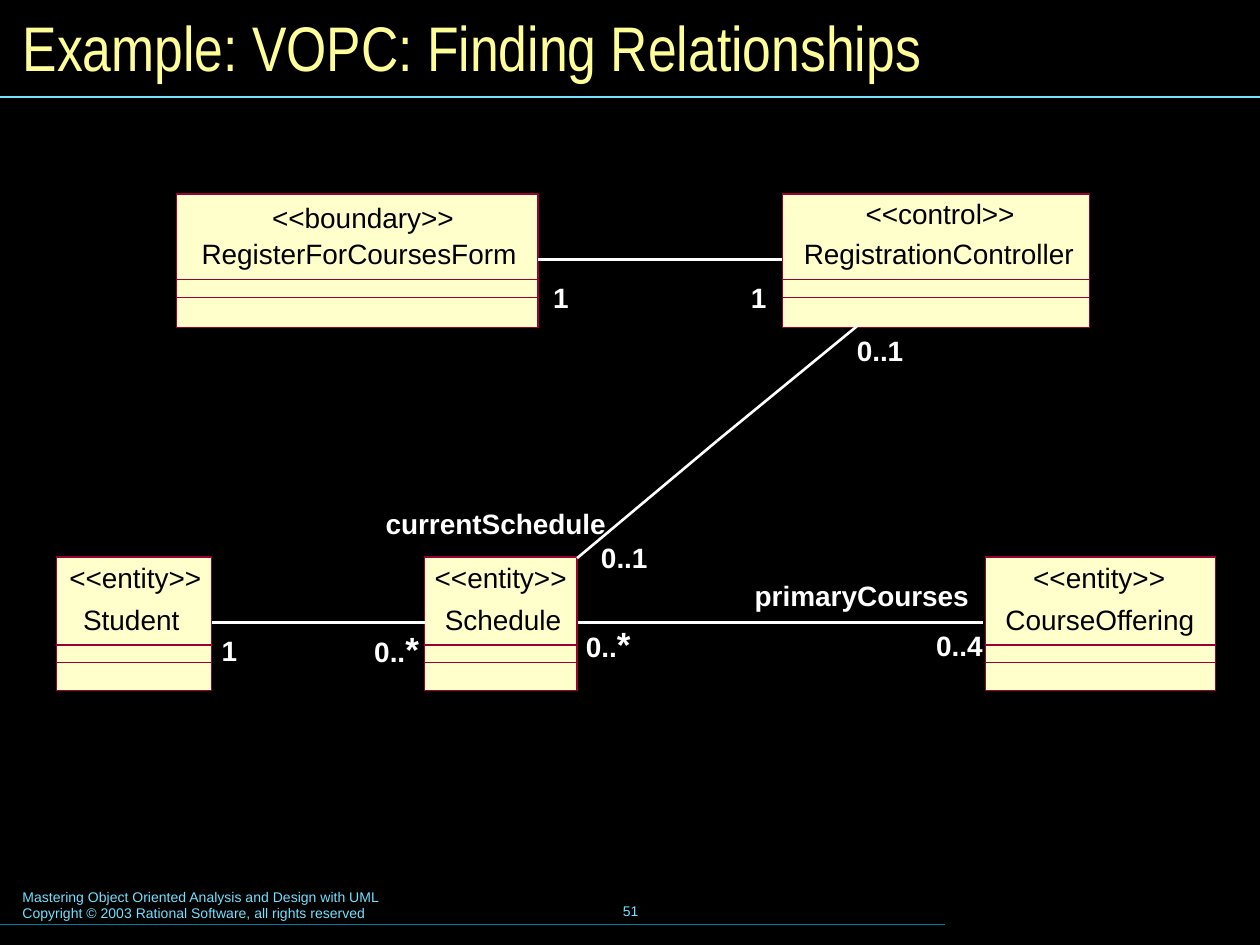
from dataclasses import dataclass

from lxml.etree import SubElement
from pptx import Presentation
from pptx.dml.color import RGBColor
from pptx.enum.shapes import MSO_CONNECTOR as Connector, MSO_SHAPE as Shape
from pptx.enum.text import MSO_ANCHOR as Anchor, MSO_AUTO_SIZE as AutoSize, PP_ALIGN as Align
from pptx.oxml.ns import qn
from pptx.util import Inches, Pt


@dataclass(frozen=True)
class Theme:
    background: str = "000000"
    title: str = "FFFF99"
    accent: str = "73E1FF"
    footer_rule: str = "007E9F"
    class_fill: str = "FFFFCC"
    class_line: str = "990033"
    class_text: str = "000000"
    relation: str = "FFFFFF"
    heading_font: str = "Arial Narrow"
    body_font: str = "Arial"
    title_size: int = 36
    body_size: int = 16
    star_size: int = 20
    footer_size: int = 8
    rule_width: float = 0.75
    relation_width: float = 1.5


class ClassDiagram:
    """Holds the theme and the slide that the elements are drawn on."""

    def __init__(self, slide, theme):
        self.slide = slide
        self.theme = theme
        fill = slide.background.fill
        fill.solid()
        fill.fore_color.rgb = RGBColor.from_string(theme.background)

    def style(self, font, size, color, name=None, bold=False):
        font.name = name or self.theme.body_font
        font.size = Pt(size)
        font.bold = bold
        font.color.rgb = RGBColor.from_string(color)

    def title(self, text):
        title = self.slide.shapes.title
        title.left, title.top = Inches(0.08), Inches(0.08)
        title.width, title.height = Inches(9.84), Inches(0.58)
        frame = title.text_frame
        frame.text = text
        frame.auto_size = AutoSize.NONE
        frame.vertical_anchor = Anchor.MIDDLE
        paragraph = frame.paragraphs[0]
        paragraph.alignment = Align.LEFT
        self.style(paragraph.font, self.theme.title_size, self.theme.title,
                   self.theme.heading_font)

    def line(self, start, end, color, width):
        line = self.slide.shapes.add_connector(
            Connector.STRAIGHT, *map(Inches, (*start, *end)))
        line.line.color.rgb = RGBColor.from_string(color)
        line.line.width = Pt(width)
        SubElement(line._element.spPr, qn("a:effectLst"))

    def rule(self, y, length, color):
        self.line((0, y), (length, y), color, self.theme.rule_width)

    def footer(self, text, left, top, width, height, align=Align.LEFT, anchor=Anchor.TOP):
        box = self.slide.shapes.add_textbox(*map(Inches, (left, top, width, height)))
        frame = box.text_frame
        frame.word_wrap = True
        frame.vertical_anchor = anchor
        frame.text = text
        for paragraph in frame.paragraphs:
            paragraph.alignment = align
            self.style(paragraph.font, self.theme.footer_size, self.theme.accent)

    def label(self, text, left, top, width, color=None, bold=True):
        """Add a one-line label with slight slack; a closing asterisk is set larger."""
        starred = text.endswith("*")
        height = 0.33 if starred else 0.27
        slack = 0.06
        box = self.slide.shapes.add_textbox(
            *map(Inches, (left, top, width + slack, height)))
        frame = box.text_frame
        frame.margin_left = frame.margin_right = frame.margin_top = frame.margin_bottom = 0
        frame.word_wrap = True
        frame.auto_size = AutoSize.NONE
        paragraph = frame.paragraphs[0]
        self.style(paragraph.font, self.theme.body_size, color or self.theme.relation, bold=bold)
        paragraph.add_run().text = text.rstrip("*")
        if starred:
            star = paragraph.add_run()
            star.text = "*"
            star.font.size = Pt(self.theme.star_size)

    def box(self, left, top, width, height, fill=None):
        box = self.slide.shapes.add_shape(
            Shape.RECTANGLE, *map(Inches, (left, top, width, height)))
        box.shadow.inherit = False
        if fill:
            box.fill.solid()
            box.fill.fore_color.rgb = RGBColor.from_string(fill)
        else:
            box.fill.background()
        box.line.color.rgb = RGBColor.from_string(self.theme.class_line)
        box.line.width = Pt(0)

    def uml_class(self, left, top, width, compartments, name, stereotype):
        """Draw a class; compartments are heights measured up from its bottom edge."""
        height = 1.06
        self.box(left, top, width, height, self.theme.class_fill)
        for compartment in compartments:
            self.box(left, top + height - compartment, width, compartment)
        for text, *place in (name, stereotype):
            self.label(text, *place, color=self.theme.class_text, bold=False)

    def association(self, middle, *ends):
        for end in ends:
            self.line(middle, end, self.theme.relation, self.theme.relation_width)


def main():
    deck = Presentation()
    deck.slide_width, deck.slide_height = Inches(10), Inches(7.5)
    theme = Theme()
    diagram = ClassDiagram(deck.slides.add_slide(deck.slide_layouts[5]), theme)

    diagram.footer("Mastering Object Oriented Analysis and Design with UML\n"
                   "Copyright © 2003 Rational Software, all rights reserved",
                   0.08, 7, 5.1, 0.37)
    diagram.footer("51", 3.42, 6.98, 3.17, 0.5, Align.CENTER, Anchor.MIDDLE)
    diagram.rule(7.34, 7.5, theme.footer_rule)
    diagram.rule(0.77, 10, theme.accent)
    diagram.title("Example: VOPC: Finding Relationships")

    upper, lower = 1.54, 4.42
    upper_parts, lower_parts = (0.38, 0.24), (0.36, 0.22)
    upper_name, lower_name, entity_top = 1.88, 4.78, 4.45
    diagram.uml_class(1.4, upper, 2.87, upper_parts,
                      ("RegisterForCoursesForm", 1.6, upper_name, 2.5),
                      ("<<boundary>>", 2.16, 1.59, 1.44))
    diagram.uml_class(6.21, upper, 2.44, upper_parts,
                      ("RegistrationController", 6.38, upper_name, 2.14),
                      ("<<control>>", 6.87, 1.56, 1.18))
    for left, width, name, name_left, name_width, entity_left in (
        (0.45, 1.23, "Student", 0.66, 0.76, 0.55),
        (3.37, 1.21, "Schedule", 3.53, 0.93, 3.45),
        (7.82, 1.83, "CourseOffering", 7.98, 1.5, 8.2),
    ):
        diagram.uml_class(left, lower, width, lower_parts,
                          (name, name_left, lower_name, name_width),
                          ("<<entity>>", entity_left, entity_top, 1.05))

    diagram.association((5.25, 2.06), (4.27, 2.06), (6.21, 2.06))
    diagram.association((5.69, 3.5), (6.8, 2.59), (4.58, 4.43))
    diagram.association((2.51, 4.94), (1.68, 4.94), (3.37, 4.94))
    diagram.association((6.19, 4.94), (4.59, 4.94), (7.8, 4.94))

    for text, left, top, width in (
        ("1", 4.39, 2.23, 0.12),
        ("1", 5.96, 2.23, 0.12),
        ("0..1", 6.8, 2.65, 0.37),
        ("currentSchedule", 3.06, 4.02, 1.75),
        ("0..1", 4.77, 4.29, 0.37),
        ("1", 1.76, 5.03, 0.12),
        ("0..*", 2.97, 4.98, 0.36),
        ("0..*", 4.65, 4.94, 0.36),
        ("primaryCourses", 5.99, 4.59, 1.7),
        ("0..4", 7.43, 4.99, 0.37),
    ):
        diagram.label(text, left, top, width)

    deck.save("out.pptx")


if __name__ == "__main__":
    main()
